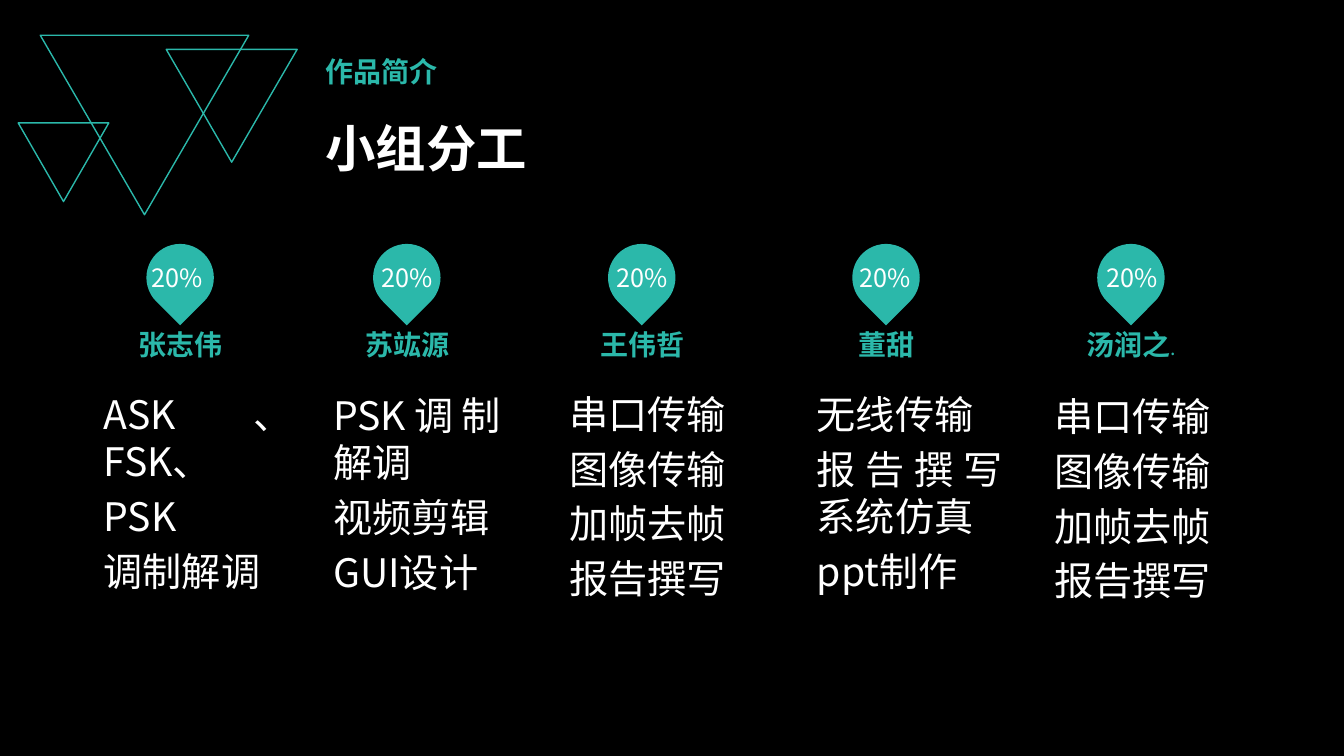
from dataclasses import dataclass

from lxml.etree import SubElement
from pptx import Presentation
from pptx.dml.color import RGBColor
from pptx.enum.shapes import MSO_SHAPE as Preset
from pptx.enum.text import MSO_ANCHOR as Anchor, MSO_AUTO_SIZE as AutoSize, PP_ALIGN as Align
from pptx.oxml.ns import qn
from pptx.slide import Slide
from pptx.text.text import TextFrame, _Run as Run
from pptx.util import Pt


@dataclass(frozen=True)
class Theme:
    font: str = "Noto Sans CJK SC"
    black: RGBColor = RGBColor(0x00, 0x00, 0x00)
    white: RGBColor = RGBColor(0xFF, 0xFF, 0xFF)
    teal: RGBColor = RGBColor(0x2B, 0xB8, 0xAA)
    title: float = 36
    heading: float = 20
    share: float = 18
    task: float = 28
    mark: float = 14
    task_gap: float = 5.6


@dataclass(frozen=True)
class Box:
    left: float
    top: float
    width: float
    height: float

    def lengths(self) -> tuple[Pt, Pt, Pt, Pt]:
        return Pt(self.left), Pt(self.top), Pt(self.width), Pt(self.height)


@dataclass(frozen=True)
class Member:
    name: str
    pin_left: float
    share_left: float
    tasks: tuple[str, ...]
    tasks_box: Box
    mark: str = ""


THEME = Theme()
TRIANGLES = (
    Box(28.8, 25.2, 149, 128.2),
    Box(118.8, 35.3, 93.6, 80.6),
    Box(13, 87.8, 64.8, 56.2),
)
RELAY_TASKS = ("串口传输", "图像传输", "加帧去帧", "报告撰写")
MEMBERS = (
    Member("张志伟", 104.6, 101.5, ("ASK、FSK、", "PSK", "调制解调"), Box(67, 275, 149, 146.2)),
    Member("苏竑源", 266.6, 265.7, ("PSK调制解调", "视频剪辑", "GUI设计"), Box(231.1, 275.8, 133.9, 146.2)),
    Member("王伟哲", 434.5, 433.4, RELAY_TASKS, Box(399.6, 275, 146.9, 146.2)),
    Member("董甜", 609.1, 607, ("无线传输", "报告撰写系统仿真", "ppt制作"), Box(576.7, 275, 146.9, 146.2)),
    Member("汤润之", 784.1, 783.4, RELAY_TASKS, Box(746.6, 276.5, 146.9, 139), mark="."),
)


def style_run(run: Run, size: float, color: RGBColor, bold: bool = False) -> None:
    """Format a run in the theme font for Latin and East Asian text."""
    run.font.size = Pt(size)
    run.font.bold = bold
    run.font.color.rgb = color
    run.font.name = THEME.font
    SubElement(run.font._element, qn("a:ea"), typeface=THEME.font)


def fill_text(frame: TextFrame, lines: tuple[str, ...], size: float, color: RGBColor,
              bold: bool = False, align: Align = Align.LEFT, wrap: bool = True) -> None:
    """Write one paragraph per line and format them alike."""
    frame.text = "\n".join(lines)
    frame.word_wrap = wrap
    frame.auto_size = AutoSize.NONE
    frame.vertical_anchor = Anchor.TOP
    for index, paragraph in enumerate(frame.paragraphs):
        paragraph.alignment = align
        if index:
            paragraph.space_before = Pt(THEME.task_gap)
        for run in paragraph.runs:
            style_run(run, size, color, bold)


def add_text(slide: Slide, box: Box, lines: tuple[str, ...], size: float, color: RGBColor,
             bold: bool = False, align: Align = Align.LEFT, wrap: bool = True) -> TextFrame:
    """Add a text box and return its frame."""
    frame = slide.shapes.add_textbox(*box.lengths()).text_frame
    fill_text(frame, lines, size, color, bold, align, wrap)
    return frame


def add_triangle(slide: Slide, box: Box) -> None:
    """Add an outlined triangle that points down."""
    triangle = slide.shapes.add_shape(Preset.ISOSCELES_TRIANGLE, *box.lengths())
    triangle.shadow.inherit = False
    triangle.fill.background()
    triangle.line.color.rgb = THEME.teal
    triangle.line.width = Pt(1)
    triangle._element.spPr.xfrm.set("flipV", "1")


def add_member(slide: Slide, member: Member) -> None:
    """Add a member's pin, share, name and tasks."""
    pin = slide.shapes.add_shape(Preset.TEAR, *Box(member.pin_left, 174.2, 48.2, 48.2).lengths())
    pin.rotation = 135
    pin.shadow.inherit = False
    pin.fill.solid()
    pin.fill.fore_color.rgb = THEME.teal
    pin.line.fill.background()
    add_text(slide, Box(member.share_left, 183.6, 56.9, 28.8), ("20%",), THEME.share, THEME.white)
    name = add_text(slide, Box(member.pin_left - 50, 230.4, 149, 32.4), (member.name,),
                    THEME.heading, THEME.teal, bold=True, align=Align.CENTER)
    if member.mark:
        mark = name.paragraphs[0].add_run()
        mark.text = member.mark
        style_run(mark, THEME.mark, THEME.teal)
    add_text(slide, member.tasks_box, member.tasks, THEME.task, THEME.white, align=Align.JUSTIFY)


def main() -> None:
    """Build the slide and save it."""
    deck = Presentation()
    deck.slide_width, deck.slide_height = Pt(960.5), Pt(540)
    slide = deck.slides.add_slide(deck.slide_layouts[5])
    slide.background.fill.solid()
    slide.background.fill.fore_color.rgb = THEME.black
    for box in TRIANGLES:
        add_triangle(slide, box)
    title = slide.shapes.title
    title.left, title.top, title.width, title.height = Box(225.4, 79.9, 337, 51.1).lengths()
    fill_text(title.text_frame, ("小组分工",), THEME.title, THEME.white, bold=True)
    add_text(slide, Box(225.4, 35.3, 95, 31.7), ("作品简介",), THEME.heading, THEME.teal,
             bold=True, wrap=False)
    for member in MEMBERS:
        add_member(slide, member)
    deck.save("out.pptx")


if __name__ == "__main__":
    main()
